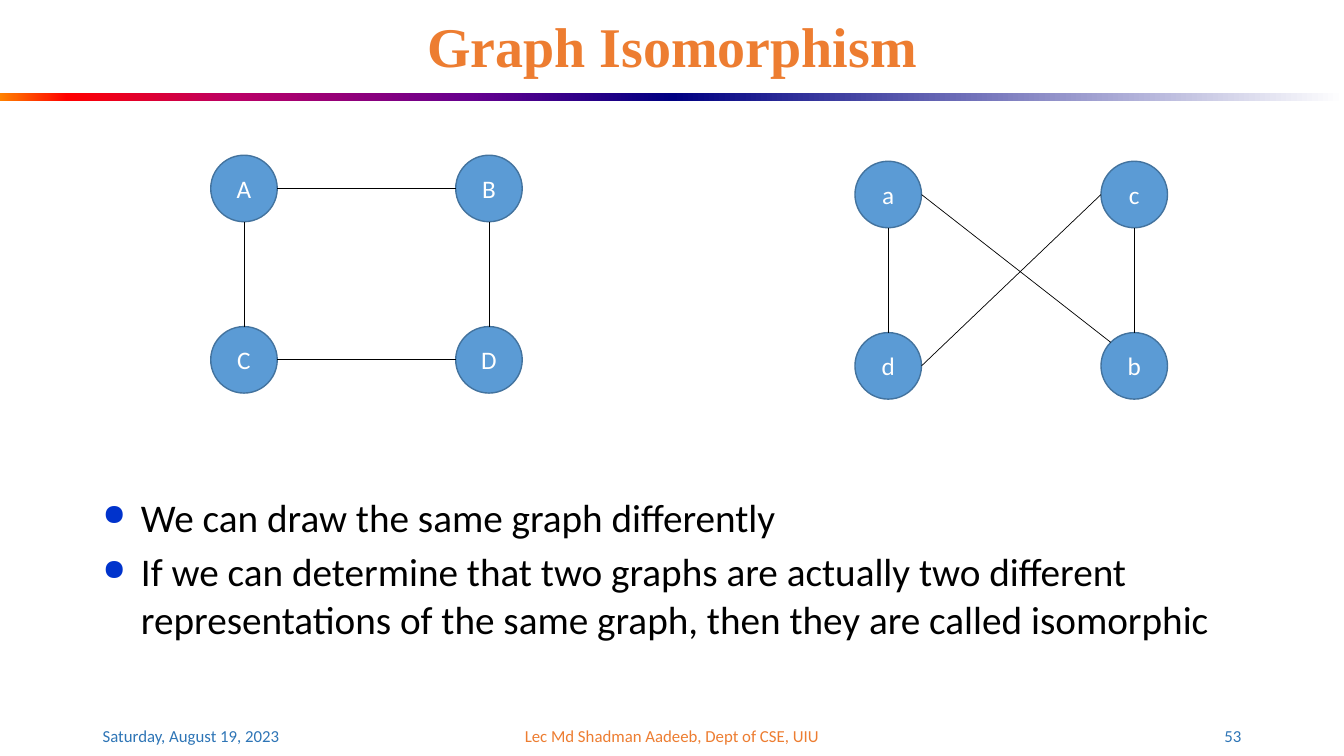
import pptx
import pptx.dml.color
import pptx.enum.shapes
import pptx.enum.text
import pptx.oxml.ns
import pptx.util
from lxml import etree

RGBColor = pptx.dml.color.RGBColor
Inches = pptx.util.Inches
Pt = pptx.util.Pt
Align = pptx.enum.text.PP_ALIGN
Anchor = pptx.enum.text.MSO_ANCHOR
Shape = pptx.enum.shapes.MSO_SHAPE
qn = pptx.oxml.ns.qn

ORANGE = RGBColor(0xED, 0x7D, 0x31)
BLUE = RGBColor(0x2E, 0x75, 0xB6)
NODE_FILL = RGBColor(0x5B, 0x9B, 0xD5)
NODE_LINE = RGBColor(0x43, 0x73, 0x9E)
BULLET = RGBColor(0x00, 0x33, 0xCC)
BLACK = RGBColor(0, 0, 0)
WHITE = RGBColor(0xFF, 0xFF, 0xFF)
FLAME = RGBColor(0xFF, 0x82, 0x00)
RED = RGBColor(0xFF, 0x00, 0x00)
CRIMSON = RGBColor(0xBA, 0x00, 0x66)
PURPLE = RGBColor(0x66, 0x00, 0x8F)
NAVY = RGBColor(0x00, 0x00, 0x82)

WIDTH, HEIGHT = 13.33, 7.5
MARGIN = 0.92
CONTENT = WIDTH - 2 * MARGIN
NODE = 0.66
ROW_STEP = 1.7
# Where an edge meets a node, as shares of the node's box
SIDES = {"top": (0.5, 0), "left": (0, 0.5), "bottom": (0.5, 1),
         "right": (1, 0.5), "top left": (0.146, 0.146)}


def write(paragraph, text, align=Align.LEFT, **font):
    """Put one run in the paragraph, with the given font values."""
    paragraph.alignment = align
    run = paragraph.add_run()
    run.text = text
    color = font.pop("color")
    for name, value in ({"name": "Calibri"} | font).items():
        setattr(run.font, name, value)
    run.font.color.rgb = color


def add_title(slide, box, text):
    title = slide.shapes.title
    title.left, title.top, title.width, title.height = map(Inches, box)
    frame = title.text_frame
    frame.auto_size = pptx.enum.text.MSO_AUTO_SIZE.NONE
    frame.vertical_anchor = Anchor.MIDDLE
    paragraph = frame.paragraphs[0]
    paragraph.line_spacing = 0.9
    write(paragraph, text, Align.CENTER, name="Times New Roman",
          size=Pt(40), bold=True, color=ORANGE)


def add_rule(slide, box):
    """Draw the coloured band as two gradient halves."""
    left, top, width, height = box
    halves = [
        [(0, FLAME), (10, RED), (35, CRIMSON), (70, PURPLE), (100, NAVY)],
        [(0, NAVY), (100, WHITE)],
    ]
    for index, stops in enumerate(halves):
        band = slide.shapes.add_shape(
            Shape.RECTANGLE, Inches(left + index * width / 2), Inches(top),
            Inches(width / 2), Inches(height))
        band.shadow.inherit = False
        band.line.fill.background()
        band.fill.gradient()
        band.fill.gradient_angle = 0
        stop_list = band._element.spPr.find(".//" + qn("a:gsLst"))
        for stop in list(stop_list):
            stop_list.remove(stop)
        for share, color in stops:
            stop = etree.SubElement(stop_list, qn("a:gs"), pos=str(share * 1000))
            etree.SubElement(stop, qn("a:srgbClr"), val=str(color))


def add_node(slide, left, top, label):
    node = slide.shapes.add_shape(
        Shape.OVAL, Inches(left), Inches(top), Inches(NODE), Inches(NODE))
    node.shadow.inherit = False
    node.fill.solid()
    node.fill.fore_color.rgb = NODE_FILL
    node.line.color.rgb = NODE_LINE
    node.line.width = Pt(1)
    frame = node.text_frame
    frame.vertical_anchor = Anchor.MIDDLE
    write(frame.paragraphs[0], label, Align.CENTER, size=Pt(18), color=WHITE)
    return node


def side_point(node, side):
    across, down = SIDES[side]
    return (int(node.left + across * node.width),
            int(node.top + down * node.height))


def add_graph(slide, left, top, column_step, labels, edges):
    """Place four nodes on a two by two grid and join them."""
    nodes = {}
    for index, label in enumerate(labels):
        row, column = divmod(index, 2)
        nodes[label] = add_node(slide, left + column * column_step,
                                top + row * ROW_STEP, label)
    for start, start_side, end, end_side in edges:
        edge = slide.shapes.add_connector(
            pptx.enum.shapes.MSO_CONNECTOR.STRAIGHT,
            *side_point(nodes[start], start_side),
            *side_point(nodes[end], end_side))
        edge.line.color.rgb = BLACK
        edge.line.width = Pt(0.5)
        etree.SubElement(edge._element.spPr, qn("a:effectLst"))


def add_bullets(slide, box, items):
    frame = slide.shapes.add_textbox(*map(Inches, box)).text_frame
    frame.word_wrap = True
    for index, item in enumerate(items):
        paragraph = frame.add_paragraph() if index else frame.paragraphs[0]
        properties = paragraph._p.get_or_add_pPr()
        properties.set("marL", str(Inches(0.38)))
        properties.set("indent", str(-Inches(0.38)))
        color = etree.SubElement(properties, qn("a:buClr"))
        etree.SubElement(color, qn("a:srgbClr"), val=str(BULLET))
        etree.SubElement(properties, qn("a:buSzPct"), val="75000")
        etree.SubElement(properties, qn("a:buChar"), char="●")
        if index:
            paragraph.space_before = Pt(5.6)
        write(paragraph, item, size=Pt(28), color=BLACK)


def add_footer(slide, box):
    """Write the date, the lecturer and the page number along the bottom."""
    left, top, width, height = box
    side, middle = 3, 4.5
    parts = [
        (left, side, "Saturday, August 19, 2023", Align.LEFT, BLUE),
        (left + (width - middle) / 2, middle,
         "Lec Md Shadman Aadeeb, Dept of CSE, UIU", Align.CENTER, ORANGE),
        (left + width - side, side, "53", Align.RIGHT, BLUE),
    ]
    for part_left, part_width, text, align, color in parts:
        frame = slide.shapes.add_textbox(
            *map(Inches, (part_left, top, part_width, height))).text_frame
        frame.word_wrap = True
        frame.vertical_anchor = Anchor.MIDDLE
        write(frame.paragraphs[0], text, align, size=Pt(12), color=color)


def main():
    presentation = pptx.Presentation()
    presentation.slide_width = Inches(WIDTH)
    presentation.slide_height = Inches(HEIGHT)
    slide = presentation.slides.add_slide(presentation.slide_layouts[5])

    # Heading
    add_rule(slide, (0, 0.92, WIDTH, 0.08))
    add_title(slide, (MARGIN, 0.16, CONTENT, 0.66), "Graph Isomorphism")

    # The same graph drawn in two ways
    add_graph(slide, 2.09, 1.54, 2.43, "ABCD", [
        ("A", "right", "B", "left"), ("D", "top", "B", "bottom"),
        ("D", "left", "C", "right"), ("C", "top", "A", "bottom")])
    add_graph(slide, 8.48, 1.6, 2.44, "acdb", [
        ("a", "right", "b", "top left"), ("b", "top", "c", "bottom"),
        ("c", "left", "d", "right"), ("d", "top", "a", "bottom")])

    # Explanation and footer
    add_bullets(slide, (MARGIN, 4.84, CONTENT, 1.92), [
        "We can draw the same graph differently",
        "If we can determine that two graphs are actually two different "
        "representations of the same graph, then they are called isomorphic"])
    add_footer(slide, (MARGIN, 7.1, CONTENT, 0.4))
    presentation.save("out.pptx")


if __name__ == "__main__":
    main()
